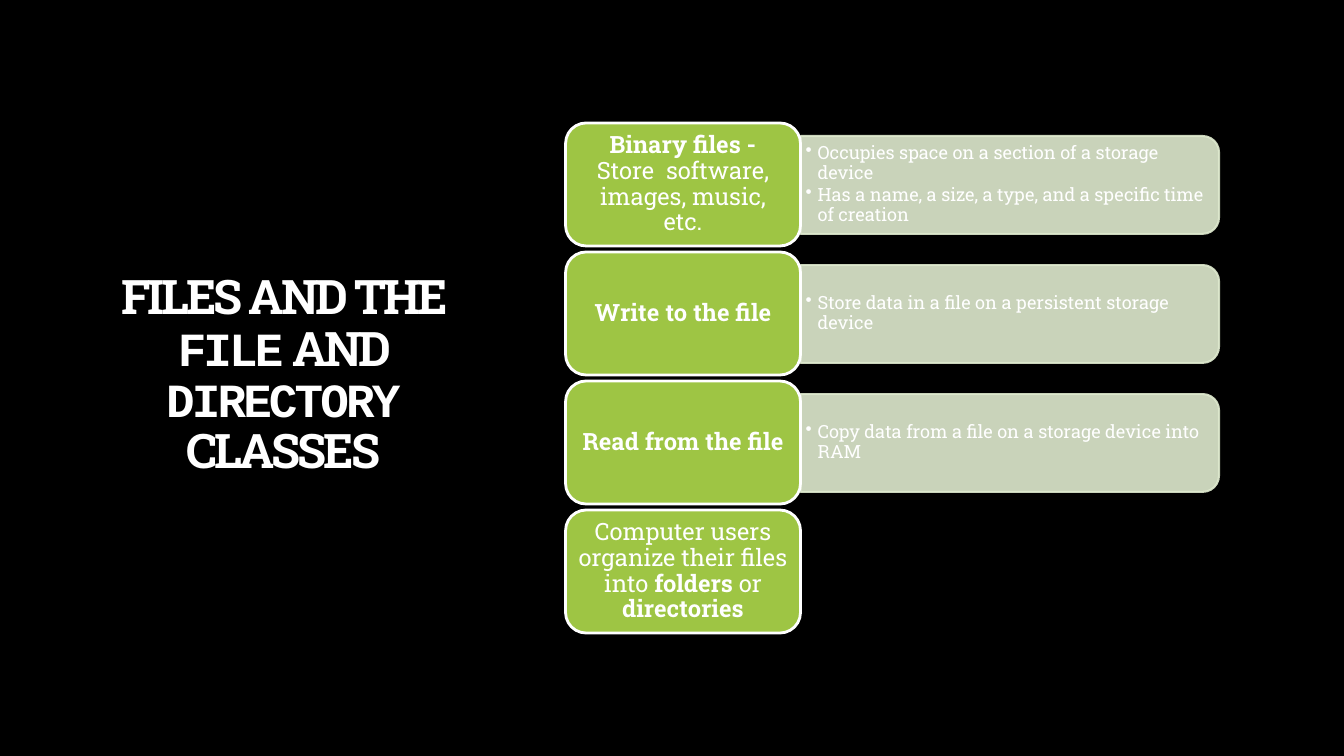
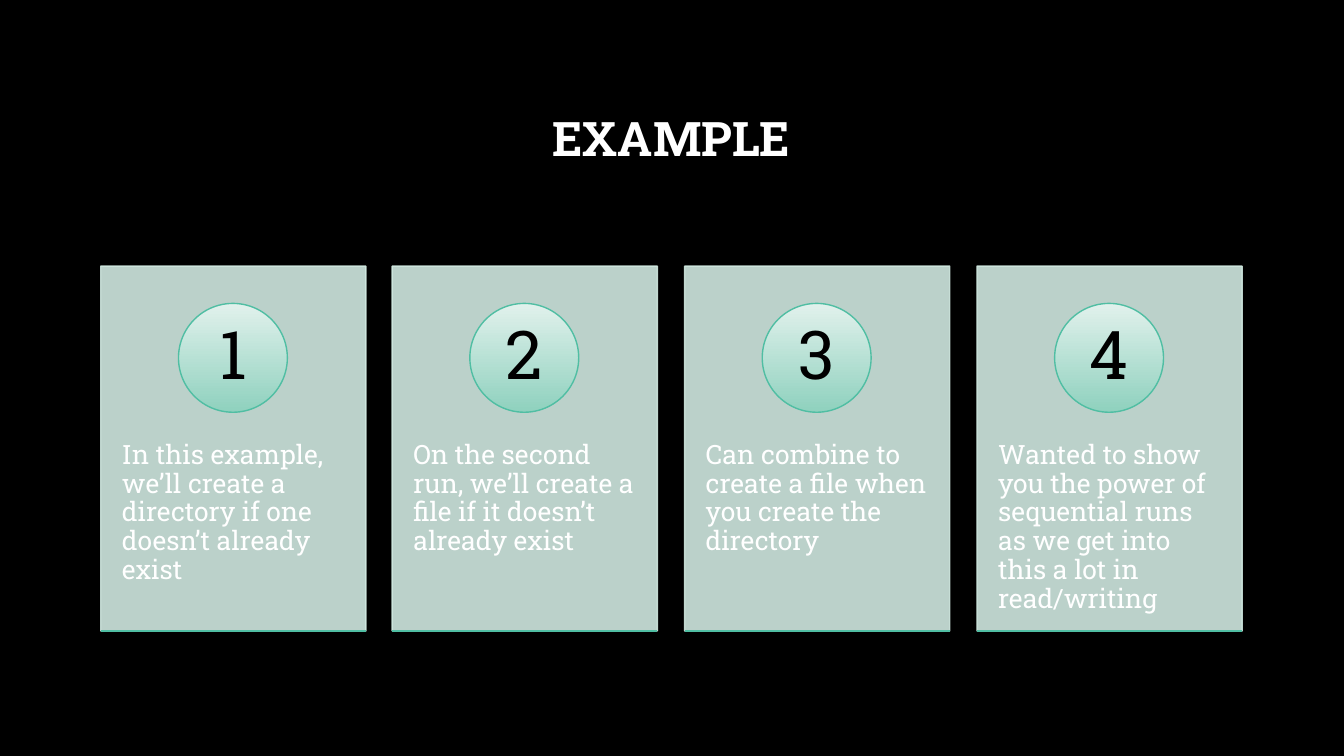
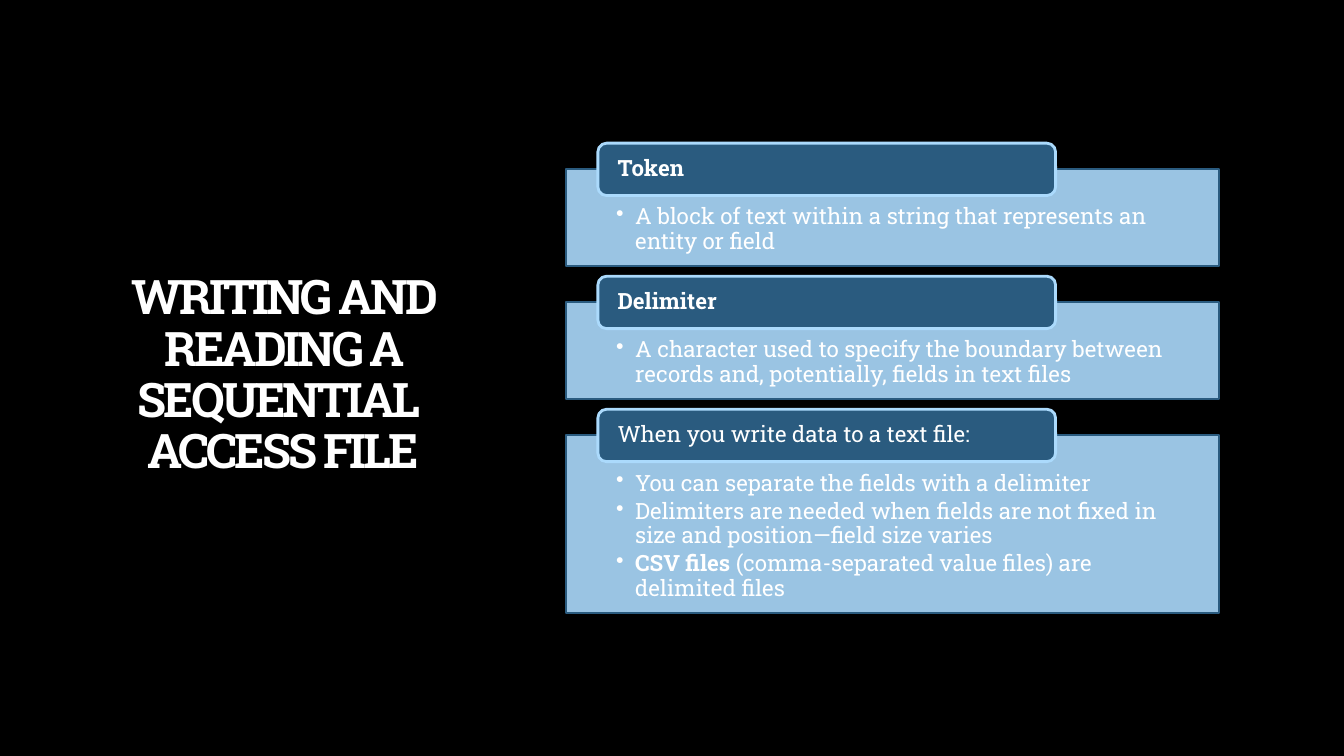
"""Build three dark slides on files, a worked example and sequential access."""
from typing import NamedTuple

from lxml.etree import SubElement
from pptx import Presentation
from pptx.dml.color import RGBColor
from pptx.enum.shapes import MSO_CONNECTOR, MSO_SHAPE
from pptx.enum.text import MSO_ANCHOR, PP_ALIGN
from pptx.oxml.ns import qn
from pptx.shapes.autoshape import Shape
from pptx.slide import Slide
from pptx.util import Pt

SCALE = 9144
FONT, MONO = "Roboto Slab", "Courier New"
WHITE, BLACK = "FFFFFF", "000000"
LIME, SAGE = "9EC544", "DFEACF"
MINT, JADE, PALE, AQUA = "D0E8E0", "50BEA3", "E1F1EC", "8FD1BE"
NAVY, SKY = "2A5B7F", "ABDAFC"


class Box(NamedTuple):
    left: int
    top: int
    width: int
    height: int


class Topic(NamedTuple):
    head: str
    points: tuple[str, ...] = ()
    height: int = 0


SIDE = Box(82, 67, 398, 613)
CROWN = Box(100, 67, 1132, 145)

TASKS = (
    Topic("*Binary files - *Store  software, images, music, etc.",
          ("Occupies space on a section of a storage device",
           "Has a name, a size, a type, and a specific time of creation")),
    Topic("*Write to the file*",
          ("Store data in a file on a persistent storage device",)),
    Topic("*Read from the file*",
          ("Copy data from a file on a storage device into RAM",)),
    Topic("Computer users organize their files into *folders *or *directories*"),
)
STEPS = (
    "In this example, we’ll create a directory if one doesn’t already exist",
    "On the second run, we’ll create a file if it doesn’t already exist",
    "Can combine to create a file when you create the directory",
    "Wanted to show you the power of sequential runs as we get into this a lot in read/writing",
)
TERMS = (
    Topic("*Token*",
          ("A block of text within a string that represents an entity or field",), 96),
    Topic("*Delimiter*",
          ("A character used to specify the boundary between records and, "
           "potentially, fields in text files",), 96),
    Topic("When you write data to a text file:",
          ("You can separate the fields with a delimiter",
           "Delimiters are needed when fields are not fixed in size and "
           "position—field size varies",
           "*CSV files* (comma-separated value files) are delimited files"), 176),
)


def px(count: int) -> int:
    return count * SCALE


def tint(code: str) -> RGBColor:
    return RGBColor.from_string(code)


def write(shape: Shape, *lines: str, size: int, color: str = WHITE,
          bold: bool = False, center: bool = False, middle: bool = True,
          inset: tuple[int, int, int, int] = (10, 5, 10, 5),
          hang: int = 0, track: int = 0) -> None:
    frame = shape.text_frame
    frame.word_wrap = True
    frame.vertical_anchor = MSO_ANCHOR.MIDDLE if middle else MSO_ANCHOR.TOP
    (frame.margin_left, frame.margin_top,
     frame.margin_right, frame.margin_bottom) = map(px, inset)
    for index, line in enumerate(lines):
        para = frame.add_paragraph() if index else frame.paragraphs[0]
        para.alignment = PP_ALIGN.CENTER if center else PP_ALIGN.LEFT
        para.line_spacing = 0.9
        para.space_after = Pt(round(size * 0.18))
        for row, part in enumerate(line.split("\n")):
            if row:
                para.add_line_break()
            for turn, piece in enumerate(part.split("*")):
                if piece:
                    run = para.add_run()
                    run.text = piece
                    font = run.font
                    font.size, font.color.rgb = Pt(size), tint(color)
                    font.bold = bold or turn % 2 == 1
                    font.name = MONO if bold and turn % 2 else FONT
    if hang:
        for props in shape.element.iter(qn("a:pPr")):
            props.set("marL", str(px(hang)))
            props.set("indent", str(-px(hang)))
            SubElement(props, qn("a:buChar")).set("char", "•")
    if track:
        for props in shape.element.iter(qn("a:rPr")):
            props.set("spc", str(track * 100))


def draw(slide: Slide, kind: MSO_SHAPE, box: Box, fill: str, edge: str,
         weight: float, clear: bool = False) -> Shape:
    shape = slide.shapes.add_shape(kind, *map(px, box))
    shape.shadow.inherit = False
    shape.fill.solid()
    shape.fill.fore_color.rgb = tint(fill)
    shape.line.color.rgb = tint(edge)
    shape.line.width = Pt(weight)
    if clear:
        for tone in shape.element.spPr.iter(qn("a:srgbClr")):
            if tone.get("val") == fill:
                SubElement(tone, qn("a:alpha")).set("val", "90000")
    return shape


def rule(slide: Slide, left: int, top: int, width: int) -> None:
    line = slide.shapes.add_connector(
        MSO_CONNECTOR.STRAIGHT, px(left), px(top), px(left + width), px(top))
    line.line.color.rgb = tint(JADE)
    line.line.width = Pt(1)
    SubElement(line.element.spPr, qn("a:effectLst"))


def start(deck: Presentation, title: str, box: Box, track: int = 0) -> Slide:
    slide = deck.slides.add_slide(deck.slide_layouts[6])
    slide.background.fill.solid()
    slide.background.fill.fore_color.rgb = tint(BLACK)
    write(slide.shapes.add_textbox(*map(px, box)), title,
          size=34, bold=True, center=True, track=track)
    return slide


def tasks(deck: Presentation) -> None:
    slide = start(deck, "FILES AND THE *FILE* AND *DIRECTORY* CLASSES", SIDE, -2)
    for index, task in enumerate(TASKS):
        top = 122 + 128 * index
        if task.points:
            panel = draw(slide, MSO_SHAPE.ROUND_2_SAME_RECTANGLE,
                         Box(953, top - 146, 97, 415), SAGE, SAGE, 1.5, clear=True)
            panel.rotation = 90
            note = slide.shapes.add_textbox(*map(px, Box(794, top + 17, 410, 88)))
            write(note, *task.points, size=13, inset=(5, 3, 5, 3), hang=12)
        label = draw(slide, MSO_SHAPE.ROUNDED_RECTANGLE,
                     Box(561, top, 233, 122), LIME, WHITE, 2)
        write(label, task.head, size=17, center=True, inset=(7, 4, 7, 4))


def steps(deck: Presentation) -> None:
    slide = start(deck, "EXAMPLE", CROWN)
    width, height, disc, top = 263, 362, 108, 264
    for index, step in enumerate(STEPS):
        left = CROWN.left + index * (CROWN.width - width) // (len(STEPS) - 1)
        card = draw(slide, MSO_SHAPE.RECTANGLE, Box(left, top, width, height),
                    MINT, MINT, 1, clear=True)
        write(card, step, size=19, middle=False, inset=(21, 174, 21, 10))
        badge = draw(slide, MSO_SHAPE.OVAL,
                     Box(left + (width - disc) // 2, top + 37, disc, disc),
                     PALE, JADE, 1)
        badge.fill.gradient()
        badge.fill.gradient_angle = 270
        for stop, tone in zip(badge.fill.gradient_stops, (PALE, AQUA)):
            stop.color.rgb = tint(tone)
        write(badge, str(index + 1), size=48, color=BLACK, center=True,
              inset=(8, 1, 8, 1))
        rule(slide, left, top + height, width)


def terms(deck: Presentation) -> None:
    slide = start(deck, "WRITING AND READING A SEQUENTIAL \nACCESS FILE", SIDE, -2)
    top = 168
    for term in TERMS:
        panel = draw(slide, MSO_SHAPE.RECTANGLE, Box(561, top, 648, term.height),
                     SKY, NAVY, 1.5, clear=True)
        write(panel, *term.points, size=16, middle=False,
              inset=(50, 36, 50, 12), hang=19)
        label = draw(slide, MSO_SHAPE.ROUNDED_RECTANGLE,
                     Box(593, top - 26, 454, 52), NAVY, SKY, 2)
        write(label, term.head, size=16, inset=(17, 0, 17, 0))
        top += term.height + 36


def main() -> None:
    deck = Presentation()
    deck.slide_width, deck.slide_height = px(1333), px(750)
    for build in (tasks, steps, terms):
        build(deck)
    deck.save("out.pptx")


if __name__ == "__main__":
    main()
